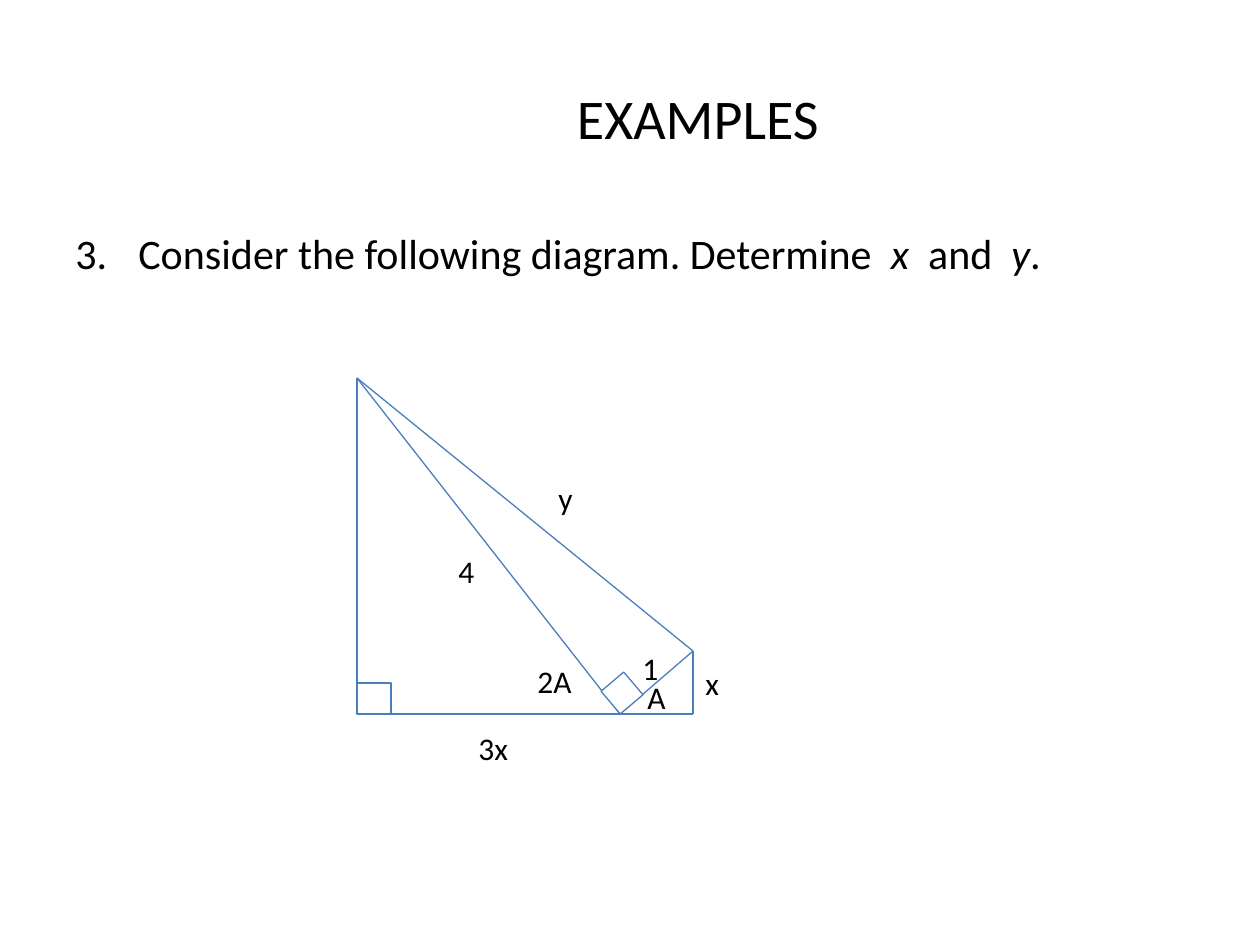
import pptx
import pptx.util
import pptx.dml.color
import pptx.enum.shapes
import pptx.enum.text
import pptx.oxml.ns
import lxml.etree

PX = 914400 / 126
COLORS = {"text": "000000", "side": "4B7EBC", "marker": "4A7EBB", "paper": "FFFFFF"}
MSO_SHAPE = pptx.enum.shapes.MSO_SHAPE
qn = pptx.oxml.ns.qn


def px(*lengths):
    return [pptx.util.Emu(round(length * PX)) for length in lengths]


def add_text(box, runs, size):
    textbox = slide.shapes.add_textbox(*px(*box))
    textbox.text_frame.word_wrap = True
    paragraph = textbox.text_frame.paragraphs[0]
    for words, italic in runs:
        run = paragraph.add_run()
        run.text = words
        run.font.name = "Calibri"
        run.font.size = pptx.util.Pt(size)
        run.font.italic = italic
        run.font.color.rgb = pptx.dml.color.RGBColor.from_string(COLORS["text"])
    return textbox.text_frame


presentation = pptx.Presentation()
presentation.slide_width, presentation.slide_height = px(1260, 945)
slide = presentation.slides.add_slide(presentation.slide_layouts[6])

title = add_text((199, 38, 998, 158), [("EXAMPLES", False)], 32)
title.vertical_anchor = pptx.enum.text.MSO_ANCHOR.MIDDLE
title.paragraphs[0].alignment = pptx.enum.text.PP_ALIGN.CENTER

question = add_text((63, 221, 1134, 672), [
    ("Consider the following diagram. Determine  ", False),
    ("x", True),
    ("  and  ", False),
    ("y", True),
    (".", False),
], 24).paragraphs[0]
question.space_before = pptx.util.Pt(4.8)
numbering = question._p.get_or_add_pPr()
indent = px(63)[0]
numbering.set("marL", str(indent))
numbering.set("indent", str(-indent))
lxml.etree.SubElement(numbering, qn("a:buFont"), typeface="+mj-lt")
lxml.etree.SubElement(numbering, qn("a:buAutoNum"), type="arabicPeriod", startAt="3")

apex, left_foot, right_foot = (357, 378), (357, 714), (693, 714)
shared_foot, right_top = (620, 714), (693, 651)
sides = [
    (apex, left_foot),
    (left_foot, right_foot),
    (apex, shared_foot),
    (right_foot, right_top),
    (shared_foot, right_top),
    (apex, right_top),
]
for start, end in sides:
    side = slide.shapes.add_connector(pptx.enum.shapes.MSO_CONNECTOR.STRAIGHT, *px(*start, *end))
    side.line.color.rgb = pptx.dml.color.RGBColor.from_string(COLORS["side"])
    side.line.width = pptx.util.Pt(0.75)
    lxml.etree.SubElement(side._element.spPr, qn("a:effectLst"))

right_angles = [
    (MSO_SHAPE.DIAMOND, (601, 672, 42, 42), 4.8),
    (MSO_SHAPE.RECTANGLE, (357, 683, 34, 31), 0),
]
for outline, box, turn in right_angles:
    right_angle = slide.shapes.add_shape(outline, *px(*box))
    right_angle.rotation = turn
    right_angle.shadow.inherit = False
    right_angle.fill.solid()
    right_angle.fill.fore_color.rgb = pptx.dml.color.RGBColor.from_string(COLORS["paper"])
    right_angle.line.color.rgb = pptx.dml.color.RGBColor.from_string(COLORS["marker"])
    right_angle.line.width = pptx.util.Pt(0.75)

measures = [
    ("y", 546, 473, 42),
    ("4", 446, 546, 42),
    ("2A", 525, 656, 63),
    ("A", 635, 672, 42),
    ("1", 630, 643, 42),
    ("x", 693, 658, 42),
    ("3x", 466, 723, 79),
]
for measure, left, top, width in measures:
    label = add_text((left, top, width, 50), [(measure, False)], 18)
    label.auto_size = pptx.enum.text.MSO_AUTO_SIZE.SHAPE_TO_FIT_TEXT

presentation.save("out.pptx")
